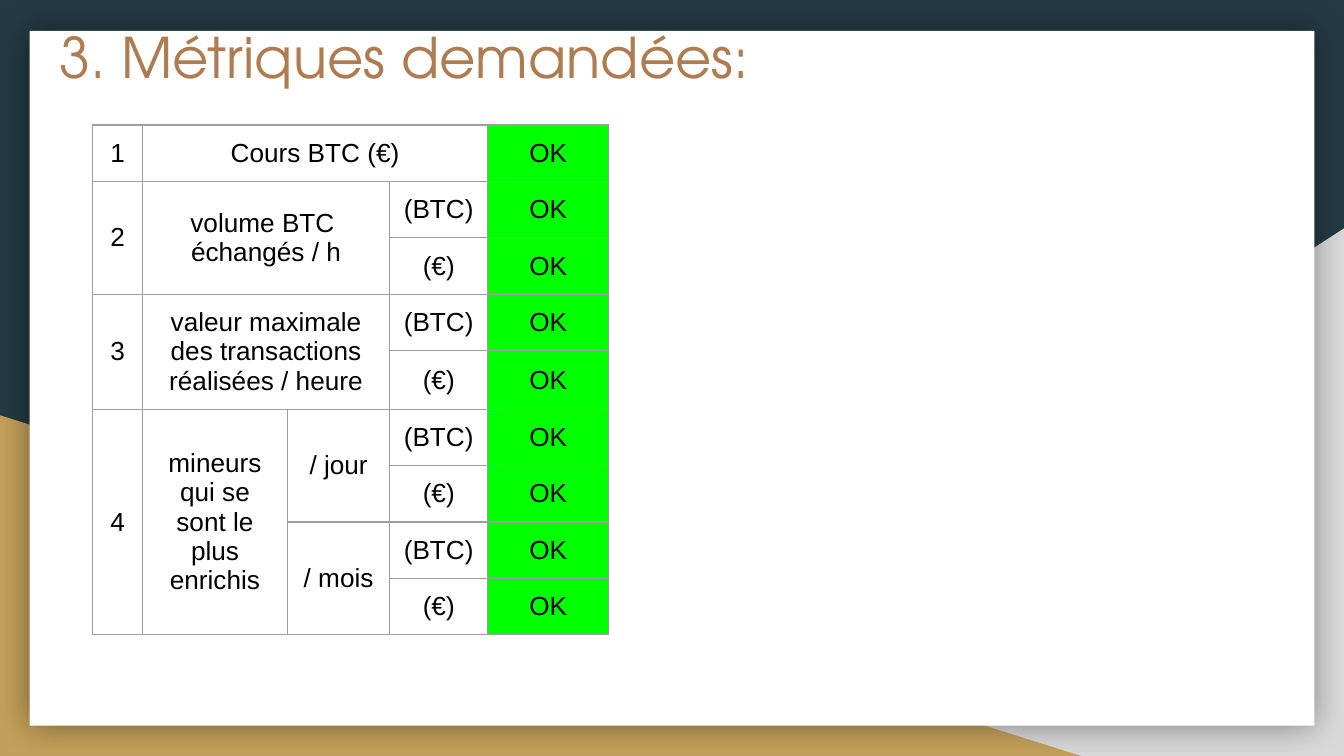
from lxml import etree
from pptx import Presentation
from pptx.dml.color import RGBColor
from pptx.enum import shapes, text
from pptx.oxml import parse_xml
from pptx.oxml.ns import nsdecls, qn
from pptx.util import Inches, Pt

NAVY = RGBColor(0x23, 0x3A, 0x44)
GREY = RGBColor(0xD9, 0xD9, 0xD9)
GOLD = RGBColor(0xC4, 0xA1, 0x5A)
WHITE = RGBColor(0xFF, 0xFF, 0xFF)
BROWN = RGBColor(0xAF, 0x7B, 0x51)
BLACK = RGBColor(0, 0, 0)
GREEN = RGBColor(0, 0xFF, 0)
BORDER = RGBColor(0x9E, 0x9E, 0x9E)

COLUMNS = (0.37, 1.08, 0.76, 0.73, 0.9)
ROW_COUNT, ROW_HEIGHT = 9, 0.42
UNITS = ("(BTC)", "(€)")
# row, column, row span, column span, paragraphs
LABELS = (
    (0, 0, 1, 1, ["1"]),
    (0, 1, 1, 3, ["Cours BTC (€)"]),
    (1, 0, 2, 1, ["2"]),
    (1, 1, 2, 2, ["volume BTC ", "échangés / h"]),
    (3, 0, 2, 1, ["3"]),
    (3, 1, 2, 2, ["valeur maximale des transactions réalisées / heure"]),
    (5, 0, 4, 1, ["4"]),
    (5, 1, 4, 1, ["mineurs qui se sont le plus enrichis"]),
    (5, 2, 2, 1, ["/ jour"]),
    (7, 2, 2, 1, ["/ mois"]),
)


def add_run(p, words, font, size, color):
    """Add one formatted run to a paragraph."""
    r = p.add_run()
    r.text = words
    r.font.name, r.font.size = font, Pt(size)
    r.font.color.rgb = color


def add_panel(s, kind, box, color, flip=False):
    """Add a plain filled shape without outline or shadow."""
    sp = s.shapes.add_shape(kind, *map(Inches, box))
    sp.shadow.inherit = False
    sp.fill.solid()
    sp.fill.fore_color.rgb = color
    sp.line.fill.background()
    if flip:
        sp.element.spPr.find(qn("a:xfrm")).set("flipH", "1")
    return sp


def add_glow(sp, blur, percent):
    """Give a shape a centred soft black shadow."""
    effects = sp.element.spPr.find(qn("a:effectLst"))
    shadow = etree.SubElement(effects, qn("a:outerShdw"), blurRad=str(Pt(blur)),
                              dist="0", dir="0", algn="ctr", rotWithShape="0")
    color = etree.SubElement(shadow, qn("a:srgbClr"), val=str(BLACK))
    etree.SubElement(color, qn("a:alpha"), val=str(percent * 1000))


def set_title(s, words):
    """Place the title in front of the panels and fill it."""
    sp = s.shapes.title
    sp.element.getparent().append(sp.element)
    sp.left, sp.top, sp.width, sp.height = map(Inches, (0.34, 0.07, 9.32, 0.58))
    tf = sp.text_frame
    tf.word_wrap = True
    tf.auto_size = text.MSO_AUTO_SIZE.NONE
    tf.vertical_anchor = text.MSO_ANCHOR.TOP
    tf.margin_left = tf.margin_right = tf.margin_top = tf.margin_bottom = Inches(0.1)
    p = tf.paragraphs[0]
    p.alignment = text.PP_ALIGN.LEFT
    p.space_before = Pt(0)
    p.line_spacing = 1.0
    add_run(p, words, "TeX Gyre Adventor", 30, BROWN)


def style_cell(cell, color=None):
    """Set the margins, borders and fill of a cell."""
    cell.margin_left = cell.margin_right = Inches(0.1)
    cell.margin_top = cell.margin_bottom = Inches(0.1)
    cell.vertical_anchor = text.MSO_ANCHOR.MIDDLE
    tc_pr = cell._tc.get_or_add_tcPr()
    for side in ("lnL", "lnR", "lnT", "lnB"):
        tc_pr.append(parse_xml(
            f'<a:{side} {nsdecls("a")} w="{Pt(0.75)}"><a:solidFill>'
            f'<a:srgbClr val="{BORDER}"/></a:solidFill></a:{side}>'))
    if color is None:
        cell.fill.background()
    else:
        cell.fill.solid()
        cell.fill.fore_color.rgb = color


def write_cell(cell, lines):
    """Write centred paragraphs into a cell."""
    tf = cell.text_frame
    for i, line in enumerate(lines):
        p = tf.add_paragraph() if i else tf.paragraphs[0]
        p.alignment = text.PP_ALIGN.CENTER
        add_run(p, line, "Arial", 14, BLACK)


def add_metrics(s):
    """Add the table of requested metrics and their status."""
    box = (0.69, 0.93, sum(COLUMNS), ROW_COUNT * ROW_HEIGHT)
    table = s.shapes.add_table(ROW_COUNT, len(COLUMNS), *map(Inches, box)).table
    table.first_row = table.horz_banding = False
    for column, width in zip(table.columns, COLUMNS):
        column.width = Inches(width)
    status = len(COLUMNS) - 1
    for i, row in enumerate(table.rows):
        row.height = Inches(ROW_HEIGHT)
        for j, cell in enumerate(row.cells):
            style_cell(cell, GREEN if j == status else None)
        write_cell(table.cell(i, status), ["OK"])
        if i:
            write_cell(table.cell(i, status - 1), [UNITS[(i - 1) % 2]])
    for i, j, down, across, lines in LABELS:
        cell = table.cell(i, j)
        if down * across > 1:
            cell.merge(table.cell(i + down - 1, j + across - 1))
        write_cell(cell, lines)


def main():
    """Build the slide and save it."""
    prs = Presentation()
    prs.slide_width = Inches(10)
    prs.slide_height = prs.slide_width * 9 // 16
    s = prs.slides.add_slide(prs.slide_layouts[5])
    s.background.fill.solid()
    s.background.fill.fore_color.rgb = NAVY
    kinds = shapes.MSO_SHAPE
    add_panel(s, kinds.RIGHT_TRIANGLE, (3.92, 1.7, 6.08, 3.93), GREY, flip=True)
    add_panel(s, kinds.RIGHT_TRIANGLE, (0, 3.09, 8.06, 2.54), GOLD)
    add_glow(add_panel(s, kinds.RECTANGLE, (0.22, 0.23, 9.56, 5.17), WHITE), 18, 40)
    set_title(s, "3. Métriques demandées:")
    add_metrics(s)
    prs.save("out.pptx")


if __name__ == "__main__":
    main()
